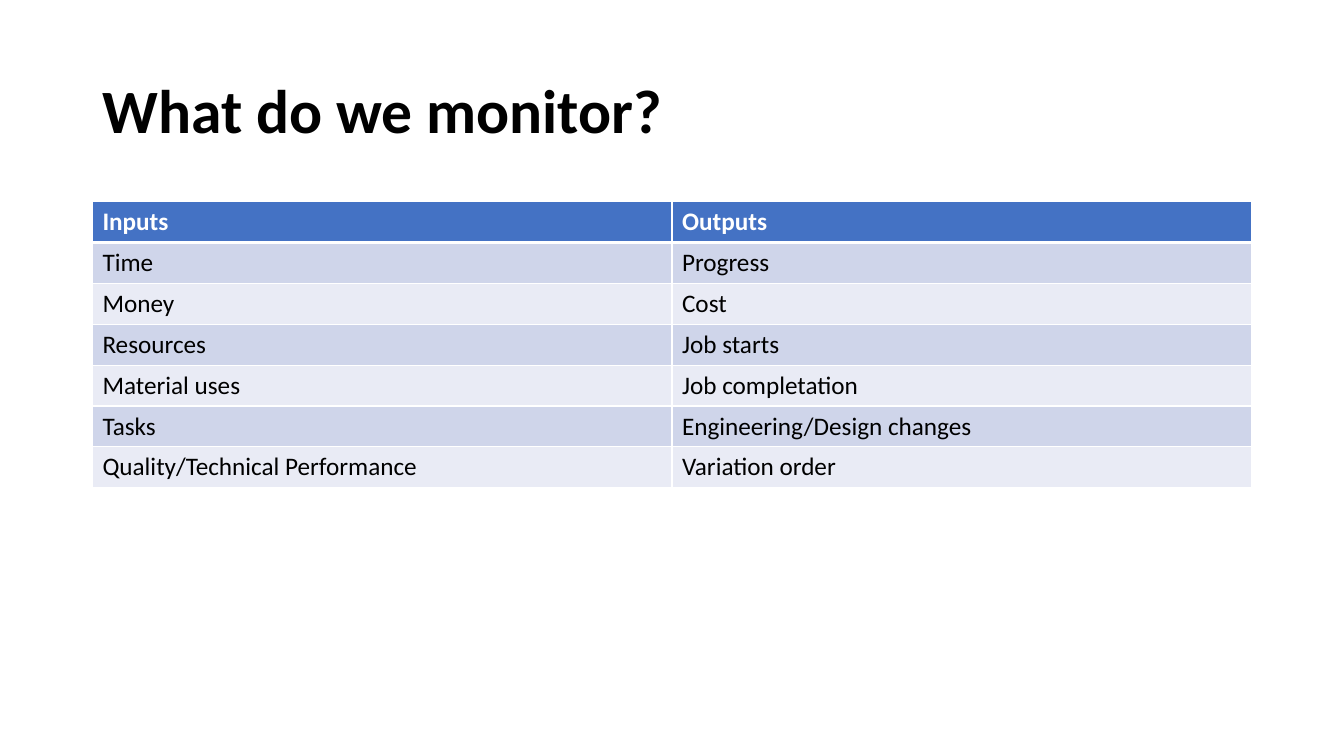
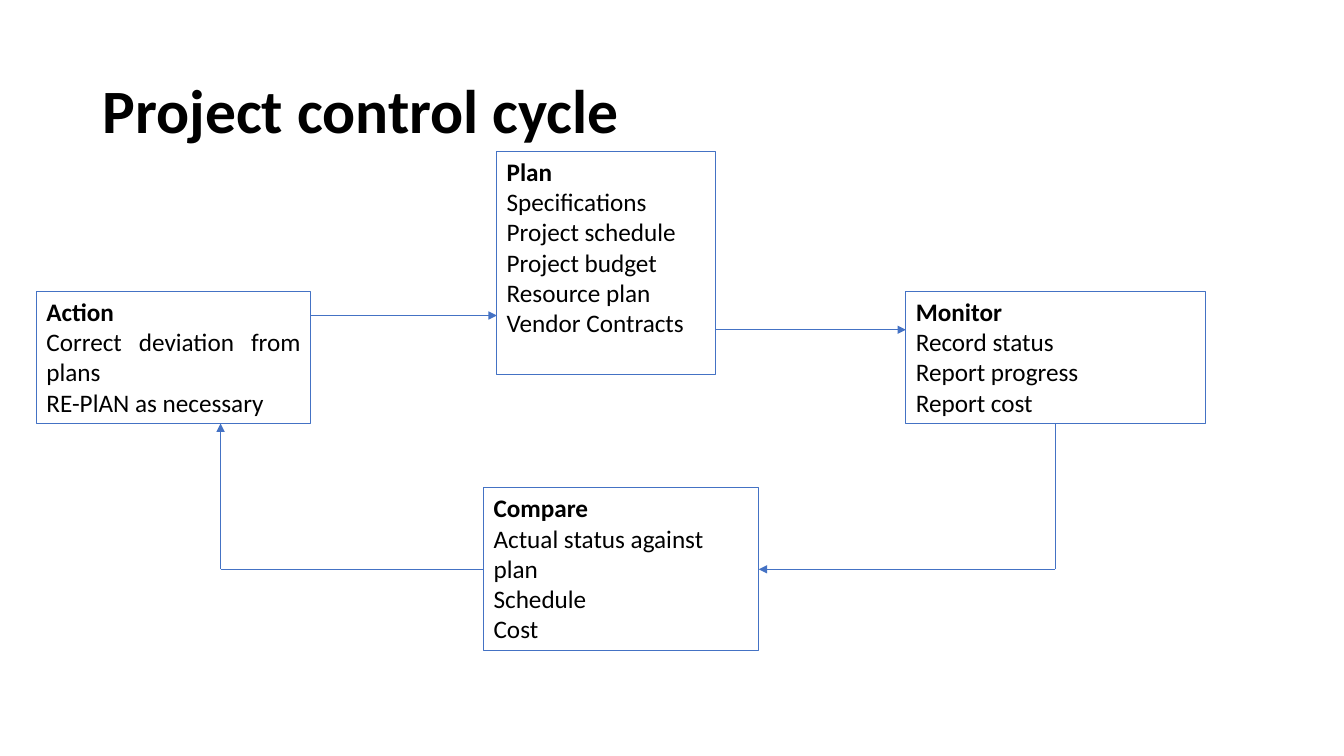
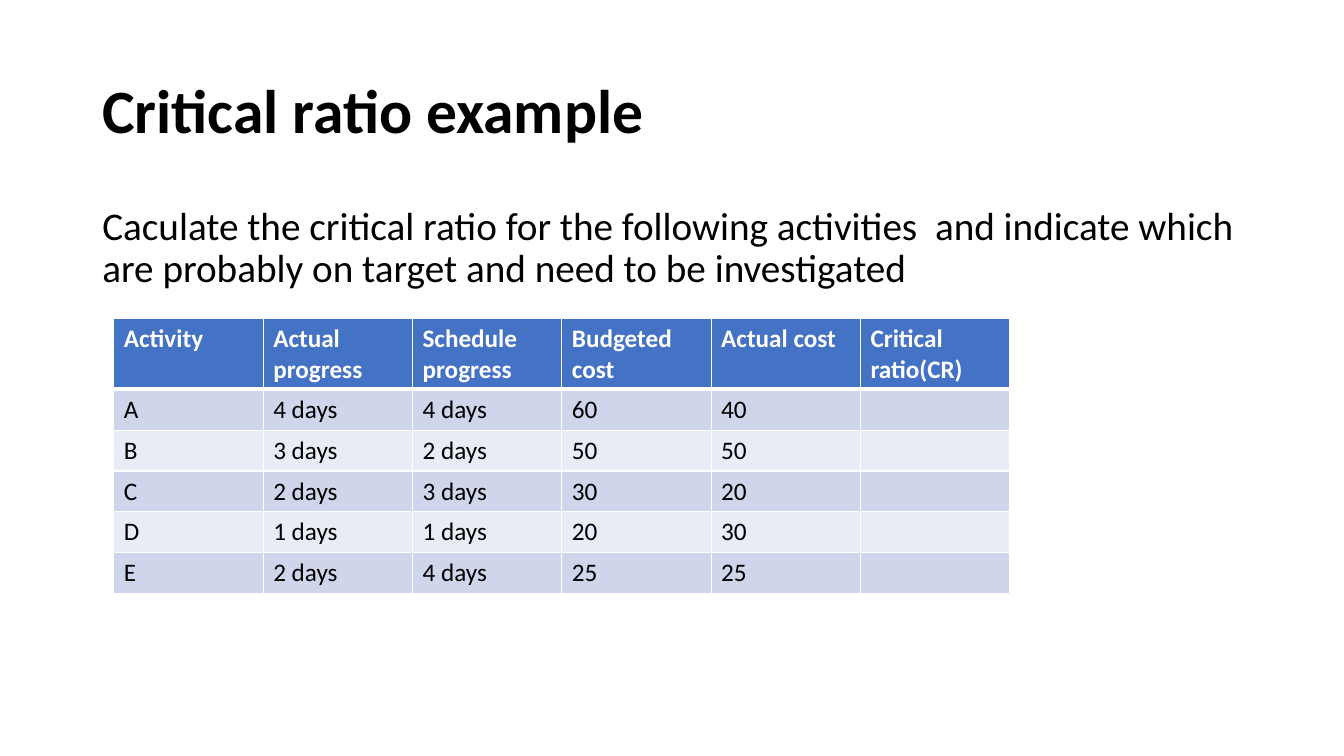
from pptx import Presentation
from pptx import util as u
from pptx.dml.color import RGBColor
from pptx.enum import shapes, text
from pptx.oxml.ns import qn
from lxml import etree

FONT = "Calibri"
BLACK, WHITE, BLUE = "000000", "FFFFFF", "4472C4"
BANDS = ("CFD5EA", "E9EBF5")
MARGIN, CONTENT_WIDTH = 2.33, 29.21
CONTENT_TOP = 5.08
ROW_HEIGHT = 1.03

MONITORED = [
    ("Inputs", "Outputs"),
    ("Time", "Progress"),
    ("Money", "Cost"),
    ("Resources", "Job starts"),
    ("Material uses", "Job completation"),
    ("Tasks", "Engineering/Design changes"),
    ("Quality/Technical Performance", "Variation order"),
]
ACTIVITIES = [
    ("Activity", "Actual progress", "Schedule progress",
     "Budgeted cost", "Actual cost", "Critical ratio(CR)"),
    ("A", "4 days", "4 days", "60", "40", ""),
    ("B", "3 days", "2 days", "50", "50", ""),
    ("C", "2 days", "3 days", "30", "20", ""),
    ("D", "1 days", "1 days", "20", "30", ""),
    ("E", "2 days", "4 days", "25", "25", ""),
]


def color(hex_string):
    return RGBColor.from_string(hex_string)


def style(paragraph, size=18, bold=False, ink=BLACK):
    font = paragraph.font
    font.name, font.size, font.bold = FONT, u.Pt(size), bold
    font.color.rgb = color(ink)


def add_text(slide, words, left, top, width, height, size, bold=False,
             anchor=text.MSO_ANCHOR.TOP):
    frame = slide.shapes.add_textbox(
        u.Cm(left), u.Cm(top), u.Cm(width), u.Cm(height)).text_frame
    frame.word_wrap = True
    frame.vertical_anchor = anchor
    paragraph = frame.paragraphs[0]
    paragraph.text = words
    paragraph.line_spacing = 0.9
    style(paragraph, size, bold)


def add_titled_slide(deck, title):
    slide = deck.slides.add_slide(deck.slide_layouts[6])
    add_text(slide, title, MARGIN, 1.02, CONTENT_WIDTH, 3.68, 44, True,
             text.MSO_ANCHOR.MIDDLE)
    return slide


def set_borders(cell, top, bottom):
    """Draw white cell edges; top and bottom are widths in points."""
    properties = cell._tc.get_or_add_tcPr()
    for edge, width in (("L", 1), ("R", 1), ("T", top), ("B", bottom)):
        line = etree.SubElement(properties, qn(f"a:ln{edge}"), w=str(u.Pt(width)))
        fill = etree.SubElement(line, qn("a:solidFill"))
        etree.SubElement(fill, qn("a:srgbClr"), val=WHITE)


def add_banded_table(slide, rows, left, top, width):
    table = slide.shapes.add_table(
        len(rows), len(rows[0]), u.Cm(left), u.Cm(top),
        u.Cm(width), u.Cm(ROW_HEIGHT * len(rows))).table
    for r, row in enumerate(rows):
        header = r == 0
        for c, words in enumerate(row):
            cell = table.cell(r, c)
            set_borders(cell, top=3 if r == 1 else 1, bottom=3 if header else 1)
            cell.fill.solid()
            cell.fill.fore_color.rgb = color(BLUE if header else BANDS[(r - 1) % 2])
            cell.text = words
            style(cell.text_frame.paragraphs[0], bold=header,
                  ink=WHITE if header else BLACK)


def add_stage(slide, left, top, width, height, lines,
              align=text.PP_ALIGN.LEFT):
    """Add an outlined box whose first line is a bold heading."""
    stage = slide.shapes.add_shape(
        shapes.MSO_SHAPE.RECTANGLE, u.Cm(left), u.Cm(top), u.Cm(width), u.Cm(height))
    stage.shadow.inherit = False
    stage.fill.background()
    stage.line.color.rgb = color(BLUE)
    stage.line.width = u.Pt(0.75)
    frame = stage.text_frame
    frame.word_wrap = True
    frame.vertical_anchor = text.MSO_ANCHOR.TOP
    frame.text = "\n".join(lines)
    for i, paragraph in enumerate(frame.paragraphs):
        paragraph.alignment = align
        style(paragraph, bold=i == 0)
    return stage


def add_line(slide, start, end, arrow=True):
    line = slide.shapes.add_connector(shapes.MSO_CONNECTOR.STRAIGHT, *start, *end)
    line.line.color.rgb = color(BLUE)
    line.line.width = u.Pt(0.5)
    if arrow:
        etree.SubElement(line.line._get_or_add_ln(), qn("a:tailEnd"), type="triangle")
    etree.SubElement(line._element.spPr, qn("a:effectLst"))


def add_control_cycle(slide):
    action = add_stage(slide, 0.92, 7.34, 6.91, 3.33, [
        "Action", "Correct deviation from plans", "RE-PlAN as necessary"],
        text.PP_ALIGN.JUSTIFY)
    plan = add_stage(slide, 12.52, 3.81, 5.51, 5.64, [
        "Plan", "Specifications", "Project schedule", "Project budget",
        "Resource plan", "Vendor Contracts"])
    compare = add_stage(slide, 12.19, 12.29, 6.93, 4.11, [
        "Compare", "Actual status against plan", "Schedule", "Cost"])
    monitor = add_stage(slide, 22.83, 7.34, 7.54, 3.33, [
        "Monitor", "Record status", "Report progress", "Report cost"])

    to_plan, to_monitor = u.Cm(7.95), u.Cm(8.31)
    add_line(slide, (action.left + action.width, to_plan), (plan.left, to_plan))
    add_line(slide, (plan.left + plan.width, to_monitor), (monitor.left, to_monitor))

    compare_middle = compare.top + compare.height // 2
    right_corner = (monitor.left + monitor.width // 2, compare_middle)
    left_corner = (u.Cm(5.56), compare_middle)
    add_line(slide, (right_corner[0], monitor.top + monitor.height),
             right_corner, arrow=False)
    add_line(slide, right_corner, (compare.left + compare.width, compare_middle))
    add_line(slide, left_corner, (compare.left, compare_middle), arrow=False)
    add_line(slide, left_corner, (left_corner[0], action.top + action.height))


def main():
    deck = Presentation()
    deck.slide_width, deck.slide_height = u.Cm(33.87), u.Cm(19.05)

    monitoring = add_titled_slide(deck, "What do we monitor?")
    add_banded_table(monitoring, MONITORED, MARGIN, CONTENT_TOP, CONTENT_WIDTH)

    add_control_cycle(add_titled_slide(deck, "Project control cycle"))

    example = add_titled_slide(deck, "Critical ratio example")
    add_text(example, "Caculate the critical ratio for the following activities  and "
             "indicate which are probably on target and need to be investigated",
             MARGIN, CONTENT_TOP, CONTENT_WIDTH, 2.8, 28)
    add_banded_table(example, ACTIVITIES, 2.87, 8.03, 22.58)

    deck.save("out.pptx")


if __name__ == "__main__":
    main()
